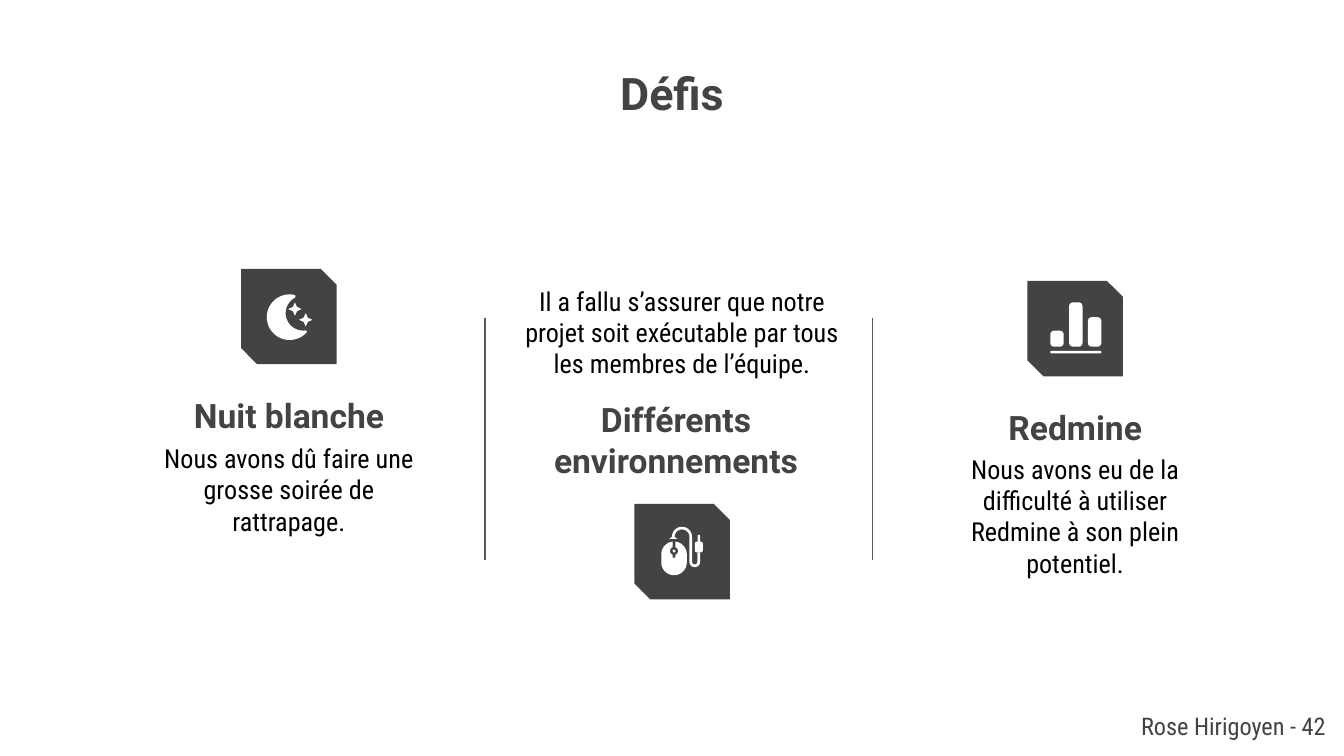
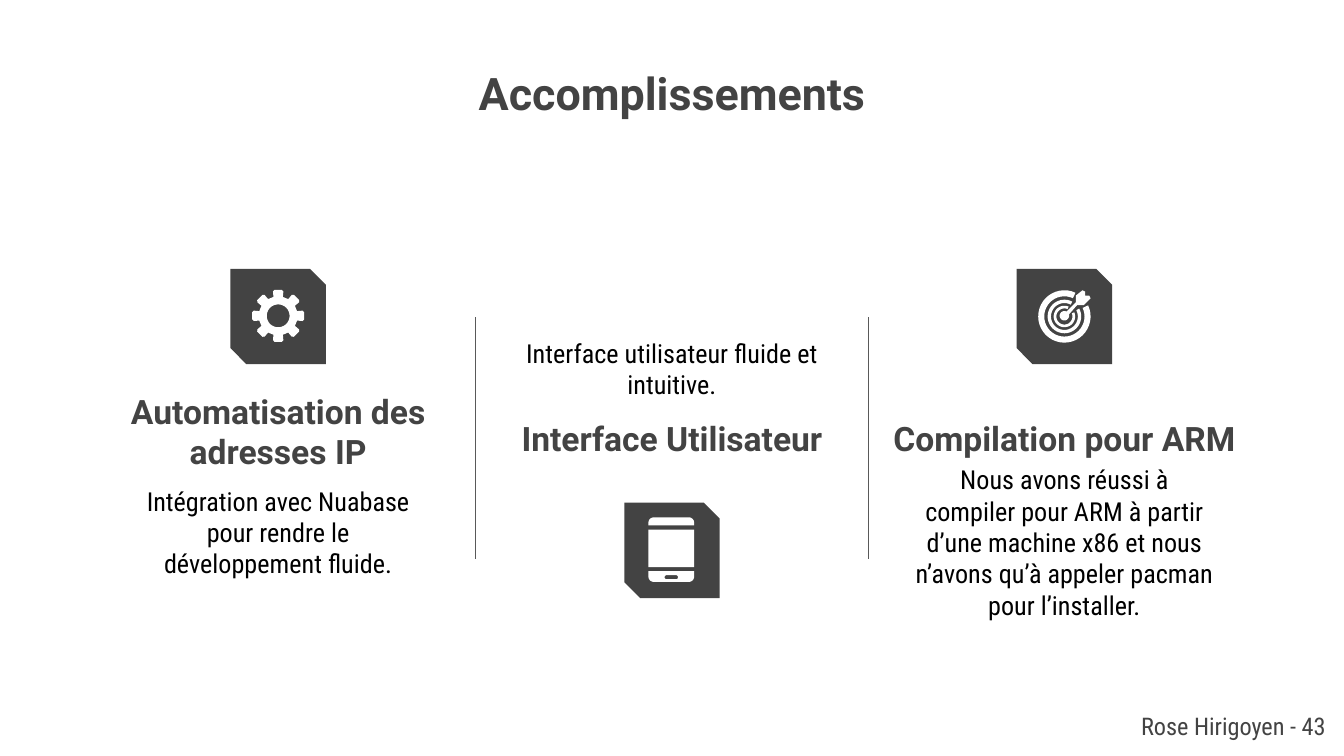
from dataclasses import dataclass
from math import cos, radians, sin
from typing import Callable

from lxml import etree
from pptx import Presentation
from pptx.dml.color import RGBColor
from pptx.enum.shapes import MSO_CONNECTOR, MSO_SHAPE
from pptx.enum.text import MSO_ANCHOR, MSO_AUTO_SIZE, PP_ALIGN
from pptx.oxml.ns import qn
from pptx.util import Pt

PX = 4572  # 200 px to the inch
TITLE_ONLY = 5
TILE = 142
HEADING_W, HEADING_H = 584, 94
TOP, BOTTOM = MSO_ANCHOR.TOP, MSO_ANCHOR.BOTTOM
CENTER, RIGHT = PP_ALIGN.CENTER, PP_ALIGN.RIGHT
SNIPPED = MSO_SHAPE.SNIP_2_DIAG_RECTANGLE
ROUNDED = MSO_SHAPE.ROUNDED_RECTANGLE
RECTANGLE = MSO_SHAPE.RECTANGLE
STAR = MSO_SHAPE.STAR_4_POINT
STRAIGHT = MSO_CONNECTOR.STRAIGHT


@dataclass(frozen=True)
class Style:
    font: str
    size: int
    color: RGBColor
    bold: bool = False


class Theme:
    dark = RGBColor(0x43, 0x43, 0x43)
    rule = RGBColor(0x59, 0x59, 0x59)
    white = RGBColor(0xFF, 0xFF, 0xFF)
    title = Style("Roboto", 24, dark, True)
    heading = Style("Roboto", 18, dark, True)
    body = Style("Roboto Condensed", 14, RGBColor(0, 0, 0))
    footer = Style("Roboto Condensed", 13, dark)


@dataclass(frozen=True)
class Column:
    center: int
    heading: str
    heading_y: int
    text: str
    text_y: int
    text_w: int
    icon: Callable
    icon_y: int
    text_h: int = 220
    heading_shift: int = 0


def px(*values):
    return [round(v * PX) for v in values]


def write(sp, text, style, align=CENTER, anchor=TOP):
    tf = sp.text_frame
    tf.word_wrap = True
    tf.auto_size = MSO_AUTO_SIZE.NONE
    tf.vertical_anchor = anchor
    tf.margin_left = tf.margin_right = tf.margin_top = tf.margin_bottom = 20 * PX
    p = tf.paragraphs[0]
    p.alignment = align
    r = p.add_run()
    r.text = text
    r.font.name, r.font.size, r.font.bold = style.font, Pt(style.size), style.bold
    r.font.color.rgb = style.color


def add_text(s, box, text, style, **layout):
    write(s.shapes.add_textbox(*px(*box)), text, style, **layout)


def paint(sp, color):
    sp.shadow.inherit = False
    sp.fill.solid()
    sp.fill.fore_color.rgb = color
    sp.line.fill.background()


def add_preset(s, kind, box, color, *adjustments):
    sp = s.shapes.add_shape(kind, *px(*box))
    for i, value in enumerate(adjustments):
        sp.adjustments[i] = value
    paint(sp, color)


def add_rule(s, x, y, height):
    line = s.shapes.add_connector(STRAIGHT, *px(x, y, x, y + height))
    line.line.color.rgb = Theme.rule
    line.line.width = Pt(0.75)
    etree.SubElement(line._element.spPr, qn("a:effectLst"))


def polar(cx, cy, r, angle):
    return cx + r * cos(radians(angle)), cy + r * sin(radians(angle))


def arc(cx, cy, r, start, end):
    """Points along an arc; angles run clockwise from the right."""
    steps = max(4, round(abs(end - start) / 9))
    return [polar(cx, cy, r, start + (end - start) * i / steps)
            for i in range(steps + 1)]


def add_outline(s, x, y, *contours):
    """White freeform from contours relative to (x, y); inner ones are holes."""
    contours = [[px(x + dx, y + dy) for dx, dy in c] for c in contours]
    builder = s.shapes.build_freeform(*contours[0][0], scale=1.0)
    for i, points in enumerate(contours):
        if i:
            builder.move_to(*points[0])
        builder.add_line_segments(points[1:], close=True)
    paint(builder.convert_to_shape(), Theme.white)


def moon(s, x, y):
    add_outline(s, x, y, arc(72, 72, 34, -76, -319) + arc(92, 66, 26, 80, 244))
    for dx, dy in ((70, 50), (86, 66)):
        add_preset(s, STAR, (x + dx, y + dy, 20, 20), Theme.white, 0.22)


def mouse(s, x, y):
    cable = (arc(71, 49, 15, 180, 360) + arc(90, 86, 4, 180, 0)
             + [(94, 72), (98, 72)] + arc(90, 86, 8, 0, 180)
             + arc(71, 49, 11, 360, 180) + [(64, 52), (52, 52)])
    body = (arc(59, 75, 19, 264, 180) + arc(59, 87, 19, 180, 0)
            + arc(59, 75, 19, 0, -84) + arc(59, 70, 6, -70, 70)
            + [(61, 80), (57, 80)] + arc(59, 70, 6, 110, 250))
    add_outline(s, x, y, cable)
    add_outline(s, x, y, body)
    add_outline(s, x, y, arc(59, 70, 2, 0, 360))
    add_preset(s, ROUNDED, (x + 90, y + 56, 12, 16), Theme.white, 0.25)
    add_preset(s, ROUNDED, (x + 94, y + 46, 4, 12), Theme.white, 0.5)


def bars(s, x, y):
    add_preset(s, ROUNDED, (x + 34, y + 104, 76, 4), Theme.white, 0.5)
    for i, height in enumerate((24, 66, 44)):
        box = (x + 34 + 28 * i, y + 98 - height, 20, height)
        add_preset(s, ROUNDED, box, Theme.white, 0.28)


def gear(s, x, y):
    profile = ((29, -14), (37, -12), (39, -8), (39, 8), (37, 12), (29, 14))
    teeth = [polar(71, 70, r, 45 * i + turn)
             for i in range(8) for r, turn in profile]
    add_outline(s, x, y, teeth, arc(71, 70, 17, 0, 360))


def phone(s, x, y):
    top = (arc(44, 30, 8, 180, 270) + arc(96, 30, 8, 270, 360)
           + [(104, 34), (36, 34)])
    base = ([(36, 102), (104, 102)] + arc(96, 110, 8, 0, 90)
            + arc(44, 110, 8, 90, 180))
    button = arc(63, 111, 3, 90, 270) + arc(77, 111, 3, -90, 90)
    add_outline(s, x, y, top)
    add_preset(s, RECTANGLE, (x + 36, y + 40, 68, 56), Theme.white)
    add_outline(s, x, y, base, button)


def target(s, x, y):
    for outer, inner, gap in ((39, 30, 20), (25, 20, 17), (16, 12, 22)):
        start, end = gap - 45, 315 - gap
        add_outline(s, x, y, arc(71, 71, outer, start, end)
                    + arc(71, 71, inner, end, start))
    add_outline(s, x, y, arc(71, 70, 7, -16, 297) + [
        (88, 50), (88, 40), (98, 32), (102, 34), (102, 40),
        (108, 40), (110, 44), (100, 54), (90, 54)])


def add_column(s, col):
    heading_x = col.center + col.heading_shift - HEADING_W // 2
    add_text(s, (heading_x, col.heading_y, HEADING_W, HEADING_H),
             col.heading, Theme.heading, anchor=BOTTOM)
    add_text(s, (col.center - col.text_w // 2, col.text_y, col.text_w, col.text_h),
             col.text, Theme.body)
    x = col.center - TILE // 2
    add_preset(s, SNIPPED, (x, col.icon_y, TILE, TILE), Theme.dark, 0, 0.167)
    col.icon(s, x, col.icon_y)


def add_columns_slide(prs, number, title, rules_x, rules_y, columns):
    s = prs.slides.add_slide(prs.slide_layouts[TITLE_ONLY])
    sp = s.shapes.title
    sp.left, sp.top, sp.width, sp.height = px(430, 78, 1140, 206)
    write(sp, title, Theme.title)
    for x in rules_x:
        add_rule(s, x, rules_y, 360)
    for col in columns:
        add_column(s, col)
    add_text(s, (1630, 1038, 362, 86), f"Rose Hirigoyen - {number}",
             Theme.footer, align=RIGHT)


CHALLENGES = (
    Column(430, "Nuit blanche", 574,
           "Nous avons dû faire une grosse soirée de rattrapage.",
           638, 448, moon, 400),
    Column(1015, "Différents environnements", 640,
           "Il a fallu s’assurer que notre projet soit exécutable par tous "
           "les membres de l’équipe.",
           404, 526, mouse, 750, heading_shift=-9),
    Column(1600, "Redmine", 592,
           "Nous avons eu de la difficulté à utiliser Redmine à son plein "
           "potentiel.",
           654, 448, bars, 418),
)
ACHIEVEMENTS = (
    Column(414, "Automatisation des adresses IP", 628,
           "Intégration avec Nuabase pour rendre le développement fluide.",
           702, 448, gear, 400),
    Column(1000, "Interface Utilisateur", 608,
           "Interface utilisateur fluide et intuitive.",
           482, 486, phone, 748),
    Column(1584, "Compilation pour ARM", 608,
           "Nous avons réussi à compiler pour ARM à partir d’une machine x86 "
           "et nous n’avons qu’à appeler pacman pour l’installer.",
           670, 486, target, 400, text_h=278),
)


def main():
    prs = Presentation()
    prs.slide_width, prs.slide_height = px(2000, 1125)
    add_columns_slide(prs, 42, "Défis", (722, 1298), 474, CHALLENGES)
    add_columns_slide(prs, 43, "Accomplissements", (708, 1292), 472, ACHIEVEMENTS)
    prs.save("out.pptx")


if __name__ == "__main__":
    main()
